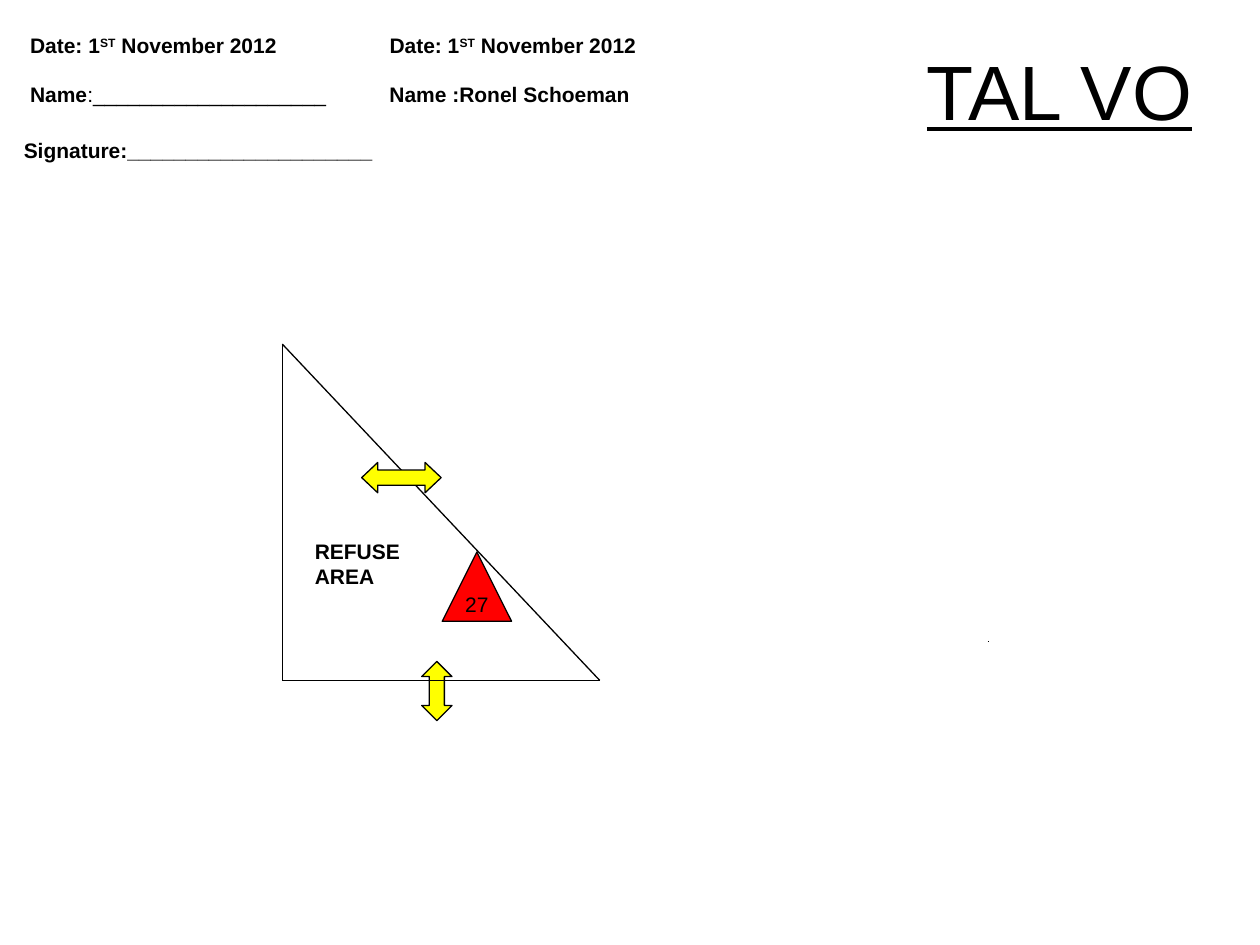
from lxml.etree import SubElement
from pptx import Presentation
from pptx.dml.color import RGBColor
from pptx.enum.shapes import MSO_CONNECTOR, MSO_SHAPE as Preset
from pptx.enum.text import MSO_ANCHOR as Anchor, MSO_AUTO_SIZE as AutoSize, PP_ALIGN as Align
from pptx.oxml.ns import qn
from pptx.util import Pt

BLACK = RGBColor(0x00, 0x00, 0x00)
YELLOW = RGBColor(0xFF, 0xFF, 0x00)
RED = RGBColor(0xFF, 0x00, 0x00)
FONT = "Arial"
LINE_WIDTH = 0.75


def style_span(span, size=12, bold=False):
    """Give a run the font, size and colour of the slide."""
    span.font.name = FONT
    span.font.size = Pt(size)
    span.font.bold = bold
    span.font.color.rgb = BLACK


def add_label(page, left, top, width, height, *parts):
    """Place a text box whose parts are (text, bold, baseline) tuples."""
    box = page.shapes.add_textbox(Pt(left), Pt(top), Pt(width), Pt(height))
    box.text_frame.word_wrap = True
    para = box.text_frame.paragraphs[0]
    for text, bold, baseline in parts:
        span = para.add_run()
        span.text = text
        style_span(span, bold=bold)
        if baseline:
            span.font._element.set("baseline", str(baseline * 1000))


def add_line(page, start, end):
    """Draw a thin black line between two points."""
    line = page.shapes.add_connector(
        MSO_CONNECTOR.STRAIGHT, *(Pt(value) for value in (*start, *end)))
    line.line.color.rgb = BLACK
    line.line.width = Pt(LINE_WIDTH)
    SubElement(line._element.spPr, qn("a:effectLst"))


def add_symbol(page, preset, left, top, width, height, fill, adjustments=()):
    """Place an outlined and filled preset shape."""
    symbol = page.shapes.add_shape(preset, Pt(left), Pt(top), Pt(width), Pt(height))
    symbol.shadow.inherit = False
    symbol.fill.solid()
    symbol.fill.fore_color.rgb = fill
    symbol.line.color.rgb = BLACK
    symbol.line.width = Pt(LINE_WIDTH)
    for index, value in enumerate(adjustments):
        symbol.adjustments[index] = value
    return symbol


def place_title(page, left, top, width, height):
    """Move and format the title placeholder."""
    title = page.shapes.title
    title.left, title.top, title.width, title.height = (
        Pt(value) for value in (left, top, width, height))
    frame = title.text_frame
    frame.text = "TAL VO"
    frame.auto_size = AutoSize.NONE
    frame.vertical_anchor = Anchor.MIDDLE
    para = frame.paragraphs[0]
    para.alignment = Align.CENTER
    style_span(para.runs[0], size=44)
    para.runs[0].font.underline = True


def place_sign_off(page, left, top):
    """Place the date, name and signature fields in two columns."""
    second_column = left + 205.4
    name_top = top + 27.7
    date = (("Date: 1", True, 0), ("ST", True, 30), (" November 2012", True, 0))
    for column in (left, second_column):
        add_label(page, column, top, 164.2, 21.6, *date)
    add_label(page, left, name_top, 192, 21.6,
              ("Name", True, 0), (":" + "_" * 20, False, 0))
    add_label(page, second_column, name_top, 221, 21.6, ("Name :Ronel Schoeman", True, 0))
    add_label(page, left - 3.6, top + 59.8, 231, 21.6, ("Signature:" + "_" * 21, True, 0))


def place_refuse_area(page, left, top, width, height):
    """Draw the triangular refuse area with its arrows, label and marker."""
    right, bottom = left + width, top + height
    apex, corner, tip = (left, top), (left, bottom), (right, bottom)
    add_symbol(page, Preset.UP_DOWN_ARROW, left + 79.7, bottom - 10.8, 17.3, 33.8,
               YELLOW, (0.4, 0.5))
    marker = add_symbol(page, Preset.ISOSCELES_TRIANGLE, left + 91.4, top + 118.8,
                        39.6, 39.6, RED)
    marker.text_frame.text = "27"
    marker.text_frame.word_wrap = False
    marker.text_frame.vertical_anchor = Anchor.MIDDLE
    para = marker.text_frame.paragraphs[0]
    para.alignment = Align.CENTER
    style_span(para.runs[0])
    for start, end in ((apex, corner), (corner, tip), (apex, tip)):
        add_line(page, start, end)
    add_symbol(page, Preset.LEFT_RIGHT_ARROW, left + 45.4, top + 67.7, 45.4, 17.3,
               YELLOW, (0.5, 0.53))
    add_label(page, left + 11.5, top + 107.5, 85, 36, ("REFUSE AREA", True, 0))


def main():
    """Build and save the one-slide deck."""
    deck = Presentation()
    deck.slide_width, deck.slide_height = Pt(720), Pt(540)
    page = deck.slides.add_slide(deck.slide_layouts[5])
    place_title(page, 422.6, 6.5, 365.8, 90)
    add_line(page, (564.5, 366.5), (564.6, 366.5))
    place_refuse_area(page, 161.3, 196.6, 181.4, 192.2)
    place_sign_off(page, 10.1, 15.1)
    deck.save("out.pptx")


if __name__ == "__main__":
    main()
